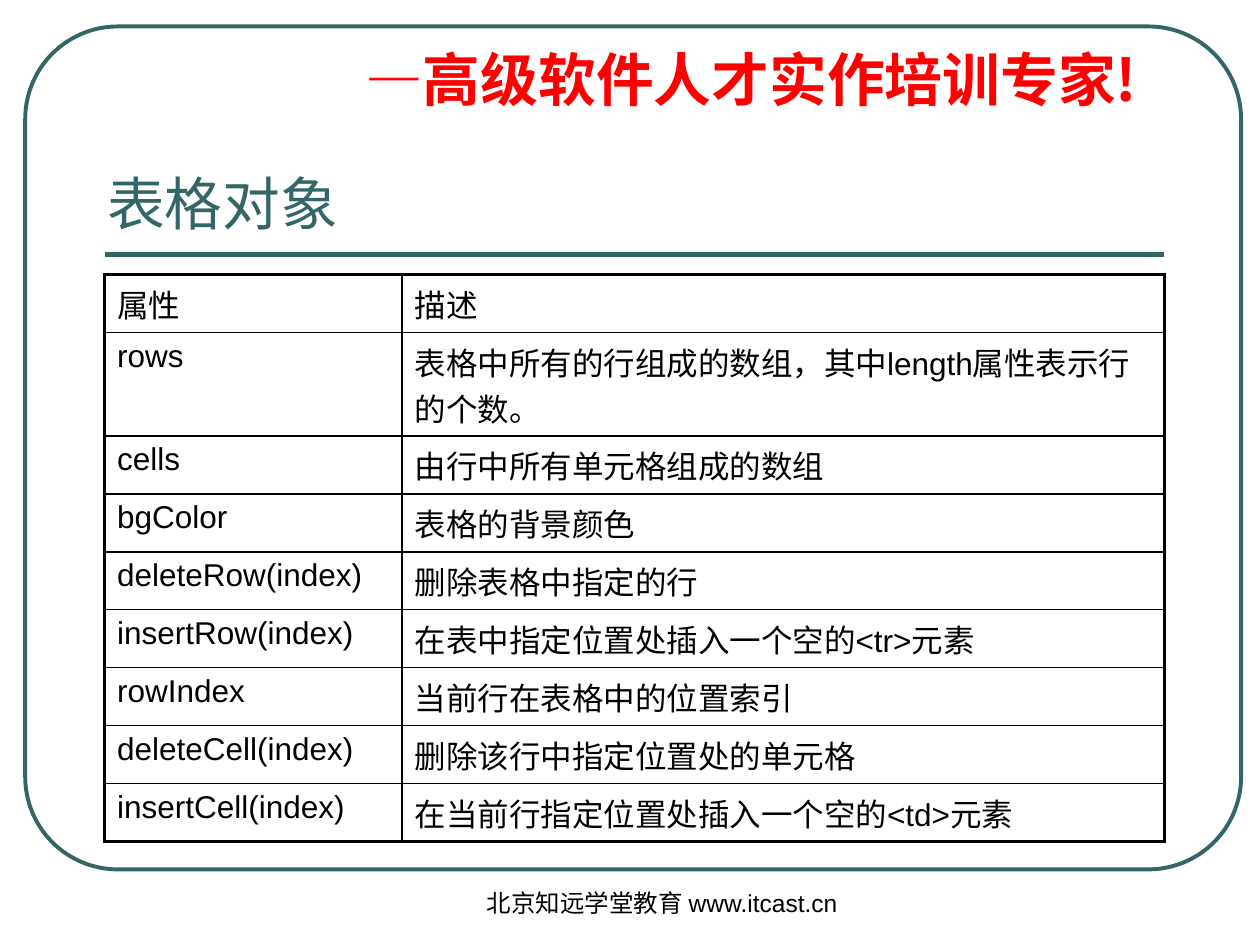
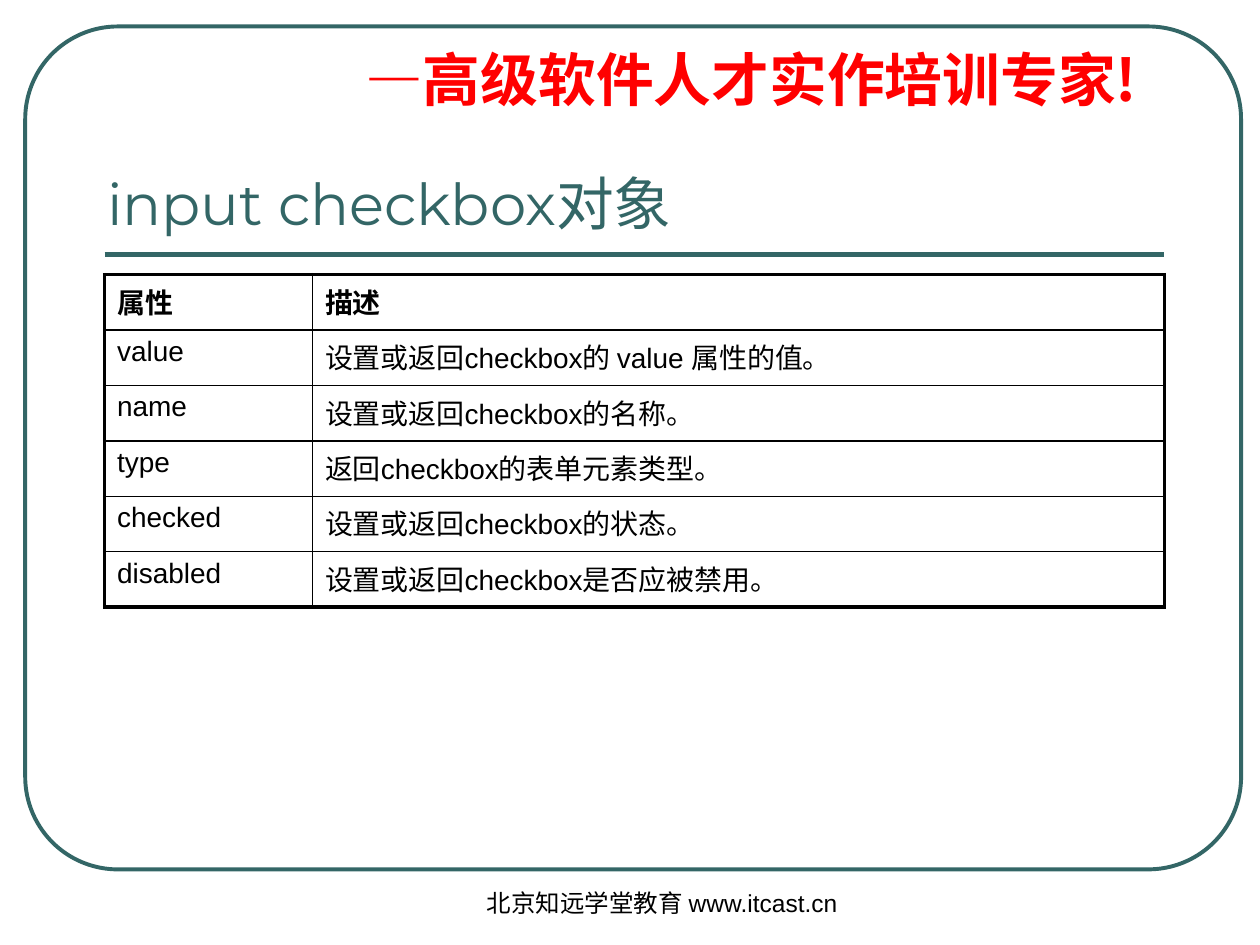
import dataclasses

import lxml.etree
import pptx
import pptx.dml.color
import pptx.enum.shapes
import pptx.enum.text
import pptx.oxml.ns
import pptx.util

Inches = pptx.util.Inches
Pt = pptx.util.Pt
qn = pptx.oxml.ns.qn
TITLE_ONLY = 5


@dataclasses.dataclass(frozen=True)
class Theme:
    teal: str = "336666"
    red: str = "FF0000"
    black: str = "000000"
    heading_font: str = "Montserrat"
    body_font: str = "Arial"
    chinese_font: str = "Noto Sans CJK SC"
    title_size: float = 33
    footer_size: float = 14
    frame_line: float = 2.25
    rule_line: float = 3
    outer_border: float = 2.25
    inner_border: float = 1


@dataclasses.dataclass(frozen=True)
class ReferencePage:
    """A title and a two-column table of properties and descriptions."""
    title: str
    text_size: float
    bold_header: bool
    column_widths: tuple[float, float]
    row_height: float
    entries: tuple[tuple[str, str], ...]
    tall_rows: dict[int, float] = dataclasses.field(default_factory=dict)


THEME = Theme()
HEADER = ("属性", "描述")
SLOGAN_DASH = "—"
SLOGAN = "高级软件人才实作培训专家!"
FOOTER = "北京知远学堂教育 www.itcast.cn"

PAGES = (
    ReferencePage(
        "表格对象", 18, False, (2.36, 6.05), 0.46,
        (
            ("rows", "表格中所有的行组成的数组，其中length属性表示行的个数。"),
            ("cells", "由行中所有单元格组成的数组"),
            ("bgColor", "表格的背景颜色"),
            ("deleteRow(index)", "删除表格中指定的行"),
            ("insertRow(index)", "在表中指定位置处插入一个空的<tr>元素"),
            ("rowIndex", "当前行在表格中的位置索引"),
            ("deleteCell(index)", "删除该行中指定位置处的单元格"),
            ("insertCell(index)", "在当前行指定位置处插入一个空的<td>元素"),
        ),
        tall_rows={1: 0.82},
    ),
    ReferencePage(
        "input checkbox对象", 16, True, (1.65, 6.76), 0.44,
        (
            ("value", "设置或返回checkbox的 value 属性的值。"),
            ("name", "设置或返回checkbox的名称。"),
            ("type", "返回checkbox的表单元素类型。"),
            ("checked", "设置或返回checkbox的状态。"),
            ("disabled", "设置或返回checkbox是否应被禁用。"),
        ),
    ),
)


def rgb(value: str) -> pptx.dml.color.RGBColor:
    return pptx.dml.color.RGBColor.from_string(value)


def add_text(para, text: str, *, size: float, font: str,
             color: str = THEME.black, bold: bool = False) -> None:
    span = para.add_run()
    span.text = text
    span.font.size = Pt(size)
    span.font.bold = bold
    span.font.color.rgb = rgb(color)
    span.font.name = font
    lxml.etree.SubElement(span.font._element, qn("a:ea"),
                          typeface=THEME.chinese_font)


def add_box(page, left: float, top: float, width: float, height: float):
    """Add a wrapping text box and return its first paragraph."""
    box = page.shapes.add_textbox(Inches(left), Inches(top),
                                  Inches(width), Inches(height))
    box.text_frame.word_wrap = True
    return box.text_frame.paragraphs[0]


def add_frame(page) -> None:
    """Draw the rounded outline and the rule under the title."""
    frame = page.shapes.add_shape(
        pptx.enum.shapes.MSO_SHAPE.ROUNDED_RECTANGLE,
        Inches(0.2), Inches(0.21), Inches(9.65), Inches(6.69))
    frame.adjustments[0] = 0.11
    frame.shadow.inherit = False
    frame.fill.background()
    frame.line.color.rgb = rgb(THEME.teal)
    frame.line.width = Pt(THEME.frame_line)

    rule = page.shapes.add_connector(
        pptx.enum.shapes.MSO_CONNECTOR.STRAIGHT,
        Inches(0.83), Inches(2.02), Inches(9.24), Inches(2.02))
    rule.line.color.rgb = rgb(THEME.teal)
    rule.line.width = Pt(THEME.rule_line)
    lxml.etree.SubElement(rule._element.spPr, qn("a:effectLst"))


def add_slogan(page) -> None:
    para = add_box(page, 2.8, 0.36, 6.3, 0.6)
    para.line_spacing = 0.9
    indent = Inches(0.38)
    properties = para._p.get_or_add_pPr()
    properties.set("marL", str(indent))
    properties.set("indent", str(-indent))
    for text, font in ((SLOGAN_DASH, THEME.heading_font),
                       (SLOGAN, THEME.chinese_font)):
        add_text(para, text, size=THEME.title_size, font=font,
                 color=THEME.red, bold=True)


def add_footer(page) -> None:
    para = add_box(page, 3.67, 7, 3.17, 0.5)
    para.alignment = pptx.enum.text.PP_ALIGN.CENTER
    add_text(para, FOOTER, size=THEME.footer_size, font=THEME.body_font)


def set_title(page, text: str) -> None:
    title = page.shapes.title
    title.left, title.top = Inches(0.75), Inches(0.36)
    title.width, title.height = Inches(8.42), Inches(1.57)
    frame = title.text_frame
    frame.word_wrap = True
    frame.auto_size = pptx.enum.text.MSO_AUTO_SIZE.NONE
    frame.vertical_anchor = pptx.enum.text.MSO_ANCHOR.BOTTOM
    para = frame.paragraphs[0]
    para.alignment = pptx.enum.text.PP_ALIGN.LEFT
    add_text(para, text, size=THEME.title_size, font=THEME.heading_font,
             color=THEME.teal)


def set_borders(cell, outer_sides: dict[str, bool]) -> None:
    """Border each side, thick where the side lies on the table's edge."""
    properties = cell._tc.get_or_add_tcPr()
    for position, (side, is_outer) in enumerate(outer_sides.items()):
        width = THEME.outer_border if is_outer else THEME.inner_border
        line = properties.makeelement(qn(f"a:ln{side}"), {"w": str(Pt(width))})
        fill = lxml.etree.SubElement(line, qn("a:solidFill"))
        lxml.etree.SubElement(fill, qn("a:srgbClr"), val=THEME.black)
        properties.insert(position, line)


def add_reference_table(page, content: ReferencePage) -> None:
    rows = (HEADER, *content.entries)
    heights = [content.tall_rows.get(index, content.row_height)
               for index in range(len(rows))]
    table = page.shapes.add_table(
        len(rows), len(HEADER), Inches(0.83), Inches(2.18),
        Inches(sum(content.column_widths)), Inches(sum(heights))).table
    table.first_row = table.horz_banding = False
    for column, width in zip(table.columns, content.column_widths):
        column.width = Inches(width)
    for row_index, texts in enumerate(rows):
        table.rows[row_index].height = Inches(heights[row_index])
        for column_index, text in enumerate(texts):
            cell = table.cell(row_index, column_index)
            cell.fill.background()
            add_text(cell.text_frame.paragraphs[0], text,
                     size=content.text_size, font=THEME.body_font,
                     bold=content.bold_header and row_index == 0)
            set_borders(cell, {
                "L": column_index == 0,
                "R": column_index == len(HEADER) - 1,
                "T": row_index == 0,
                "B": row_index == len(rows) - 1,
            })


def main() -> None:
    deck = pptx.Presentation()
    deck.slide_width, deck.slide_height = Inches(10), Inches(7.5)
    for content in PAGES:
        page = deck.slides.add_slide(deck.slide_layouts[TITLE_ONLY])
        add_frame(page)
        add_slogan(page)
        add_footer(page)
        set_title(page, content.title)
        add_reference_table(page, content)
    deck.save("out.pptx")


if __name__ == "__main__":
    main()
